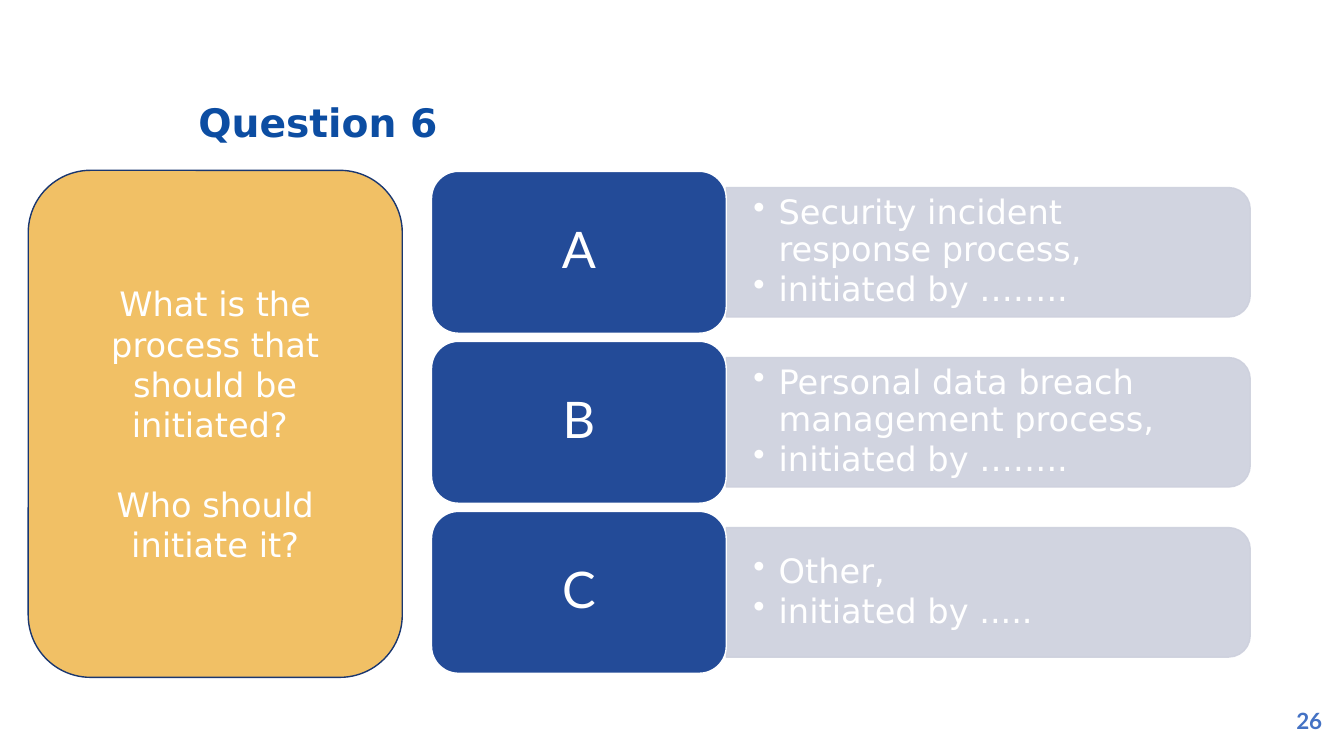
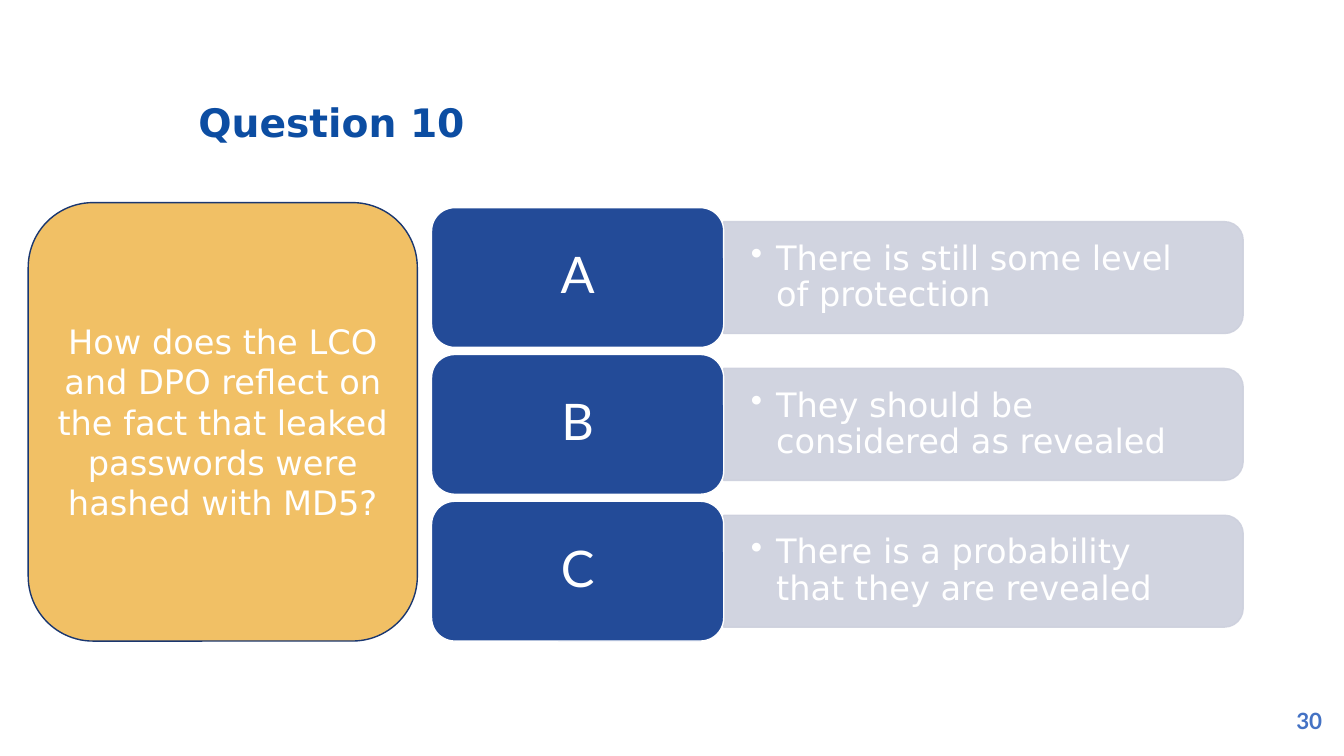
from pptx import Presentation
from pptx.dml.color import RGBColor as Rgb
from pptx.enum.shapes import MSO_SHAPE as Kind
from pptx.enum.text import MSO_ANCHOR as Anchor, PP_ALIGN as Align
from pptx.oxml.ns import qn
from pptx.util import Pt
from lxml.etree import SubElement as Sub

PX = 9144  # EMU per px, 100 px to the inch
HUES = {
    "title": "0C4DA2", "page": "4472C4", "card": "234B98", "bar": "CDD0DD",
    "panel": "F1C065", "edge": "1A3770", "white": "FFFFFF",
}
# Text styles: font values, then paragraph values
STYLES = {
    "title": ({"name": "DejaVu Sans", "size": Pt(28), "bold": True},
              {"line_spacing": Pt(36.6)}, "title"),
    "page": ({"name": "Lato", "size": Pt(16), "bold": True},
             {"alignment": Align.CENTER}, "page"),
    "card": ({"name": "Lato", "size": Pt(36)},
             {"alignment": Align.CENTER, "line_spacing": 0.9}, "white"),
    "panel": ({"name": "DejaVu Sans", "size": Pt(24)},
              {"alignment": Align.CENTER}, "white"),
    "item": ({"name": "DejaVu Sans", "size": Pt(24)},
             {"alignment": Align.LEFT, "line_spacing": 0.9}, "white"),
}


def emu(*vals):
    return [round(v * PX) for v in vals]


def apply(obj, vals):
    for key, val in vals.items():
        setattr(obj, key, val)


def write(shape, lines, style, anchor=Anchor.MIDDLE, pad=(10, 5, 10, 5), gap=0):
    """Fill a shape with paragraphs, gap points apart."""
    font, para, hue = STYLES[style]
    frame = shape.text_frame
    sides = ("margin_left", "margin_top", "margin_right", "margin_bottom")
    apply(frame, {"word_wrap": True, "vertical_anchor": anchor,
                  **dict(zip(sides, emu(*pad)))})
    for i, line in enumerate(lines):
        par = frame.add_paragraph() if i else frame.paragraphs[0]
        apply(par, para)
        if i and gap:
            par.space_before = Pt(gap)
        run = par.add_run()
        run.text = line
        apply(run.font, font)
        run.font.color.rgb = Rgb.from_string(HUES[hue])
    return frame


def label(slide, box, line, style, **opts):
    write(slide.shapes.add_textbox(*emu(*box)), [line], style, **opts)


def block(slide, kind, box, fill, edge):
    shape = slide.shapes.add_shape(kind, *emu(*box))
    shape.shadow.inherit = False
    shape.fill.solid()
    shape.fill.fore_color.rgb = Rgb.from_string(HUES[fill])
    shape.line.color.rgb = Rgb.from_string(HUES[edge])
    shape.line.width = Pt(1)
    return shape


def bar(slide, box):
    """Translucent band, rounded on its right side only."""
    x, y, w, h = box
    turned = (x + (w - h) / 2, y + (h - w) / 2, h, w)
    shape = block(slide, Kind.ROUND_2_SAME_RECTANGLE, turned, "bar", "bar")
    shape.rotation = 90
    for hue in shape._element.spPr.iter(qn("a:srgbClr")):
        Sub(hue, qn("a:alpha"), val="90000")


def bullets(slide, box, lines):
    x, y, w, h = box
    text = slide.shapes.add_textbox(*emu(x, y, w - 7, h))
    frame = write(text, lines, "item", pad=(27, 14, 28, 14), gap=3)
    for par in frame.paragraphs:
        props = par._p.get_or_add_pPr()
        inset = 25 * PX
        props.set("marL", str(inset))
        props.set("indent", str(-inset))
        Sub(props, qn("a:buChar"), char="•")


def choices(slide, box, rows):
    """Lettered cards with their answers, in equal rows."""
    x, y, w, h = box
    gap = 0.05  # share of a card's height
    tall = h / (len(rows) + gap * (len(rows) - 1))
    wide = 0.36 * w
    for i, lines in enumerate(rows):
        top = y + i * tall * (1 + gap)
        band = (x + wide, top + 0.1 * tall, w - wide, 0.8 * tall)
        bar(slide, band)
        bullets(slide, band, lines)
        card = block(slide, Kind.ROUNDED_RECTANGLE, (x, top, wide, tall),
                     "card", "white")
        write(card, ["ABC"[i]], "card", pad=(15, 7, 15, 7))


def panel(slide, box, lines):
    shape = block(slide, Kind.ROUNDED_RECTANGLE, box, "panel", "edge")
    write(shape, lines, "panel", gap=28)


def question(deck, data):
    slide = deck.slides.add_slide(deck.slide_layouts[6])
    # Title and page number
    label(slide, (187, 88, 952, 71), data["title"], "title", anchor=Anchor.TOP)
    label(slide, (1274, 695, 49, 40), data["page"], "page", pad=(0, 5, 0, 5))
    # Answers and question
    choices(slide, data["grid"], data["rows"])
    panel(slide, data["side"], data["ask"])


SLIDES = [
    {"title": "Question 6", "page": "26",
     "grid": (428, 170, 812, 498), "side": (28, 169, 371, 503),
     "ask": ["What is the process that should be initiated? ",
             "Who should initiate it?"],
     "rows": [
         ["Security incident response process,", "initiated by …….."],
         ["Personal data breach management process,", "initiated by …….."],
         ["Other,", "initiated by ....."]]},
    {"title": "Question 10", "page": "30",
     "grid": (428, 206, 805, 430), "side": (28, 201, 386, 435),
     "ask": ["How does the LCO and DPO reflect on the fact that leaked "
             "passwords were hashed with MD5?"],
     "rows": [
         ["There is still some level of protection"],
         ["They should be considered as revealed"],
         ["There is a probability that they are revealed"]]},
]


def main():
    deck = Presentation()
    deck.slide_width, deck.slide_height = emu(1333, 750)
    for data in SLIDES:
        question(deck, data)
    deck.save("out.pptx")


if __name__ == "__main__":
    main()
